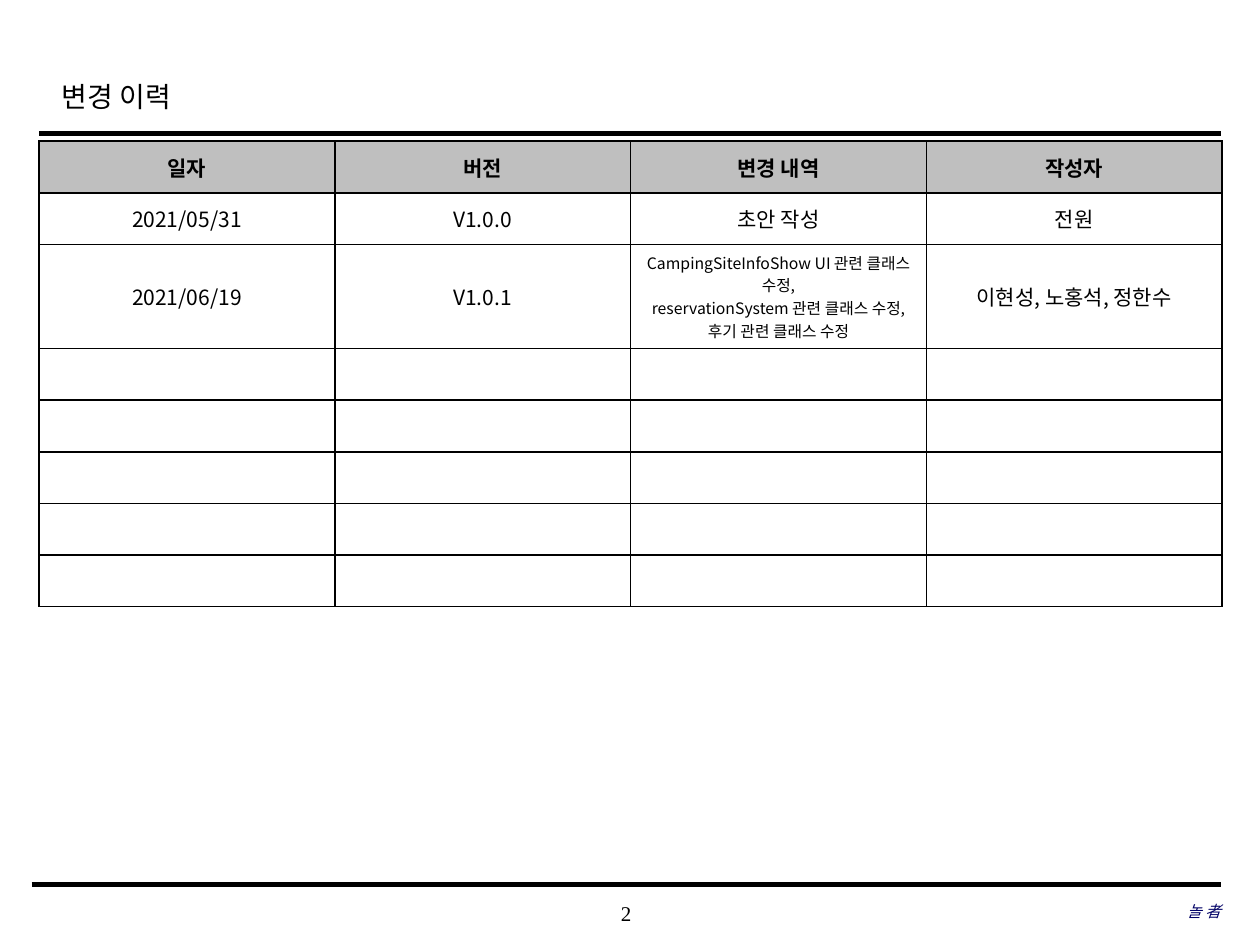
from lxml import etree
from pptx import Presentation
from pptx.dml.color import RGBColor
from pptx.enum.shapes import MSO_CONNECTOR
from pptx.enum.text import MSO_ANCHOR, PP_ALIGN
from pptx.oxml.ns import qn
from pptx.util import Inches, Pt

STRAIGHT = MSO_CONNECTOR.STRAIGHT
MIDDLE = MSO_ANCHOR.MIDDLE
LEFT, CENTER, RIGHT = PP_ALIGN.LEFT, PP_ALIGN.CENTER, PP_ALIGN.RIGHT
LATIN, KOREAN = "Times New Roman", "Noto Sans CJK KR"
BLACK, WHITE, GRAY, NAVY = "000000", "FFFFFF", "BFBFBF", "000066"

HISTORY = [
    ["일자", "버전", "변경 내역", "작성자"],
    ["2021/05/31", "V1.0.0", "초안 작성", "전원"],
    ["2021/06/19", "V1.0.1",
     "CampingSiteInfoShow UI 관련 클래스 수정,\n"
     "reservationSystem 관련 클래스 수정,\n"
     "후기 관련 클래스 수정",
     "이현성, 노홍석, 정한수"],
] + [[""] * 4 for _ in range(5)]


def color(value):
    return RGBColor.from_string(value)


def write_text(frame, text, align, font, hue=BLACK):
    """Fill the frame with one paragraph per line of text."""
    for index, line in enumerate(text.split("\n")):
        para = frame.add_paragraph() if index else frame.paragraphs[0]
        para.alignment = align
        if not line:
            # Empty cells keep the size of the text, so rows do not grow
            size = str(int(font["size"].pt * 100))
            etree.SubElement(para._p, qn("a:endParaRPr"), sz=size)
            continue
        span = para.add_run()
        span.text = line
        for name, value in font.items():
            setattr(span.font, name, value)
        span.font.color.rgb = color(hue)
        east_asian = etree.SubElement(span._r.get_or_add_rPr(), qn("a:ea"))
        east_asian.set("typeface", KOREAN)


def add_title(slide, left, top, width, height):
    title = slide.shapes.title
    title.left, title.top = Inches(left), Inches(top)
    title.width, title.height = Inches(width), Inches(height)
    frame = title.text_frame
    frame.vertical_anchor = MIDDLE
    write_text(frame, "변경 이력", LEFT, {"name": LATIN, "size": Pt(16)})
    frame.paragraphs[0].line_spacing = 1.2


def add_rule(slide, left, right, y, weight):
    rule = slide.shapes.add_connector(
        STRAIGHT, Inches(left), Inches(y), Inches(right), Inches(y))
    rule.line.color.rgb = color(BLACK)
    rule.line.width = Pt(weight)
    etree.SubElement(rule._element.spPr, qn("a:effectLst"))


def add_footer_text(slide, left, top, width, height, text, align, font, hue):
    box = slide.shapes.add_textbox(
        Inches(left), Inches(top), Inches(width), Inches(height))
    frame = box.text_frame
    layout = {"word_wrap": True, "vertical_anchor": MIDDLE, "margin_left": 0,
              "margin_right": 0, "margin_top": 0, "margin_bottom": 0}
    for name, value in layout.items():
        setattr(frame, name, value)
    write_text(frame, text, align, font, hue)


def add_borders(cell):
    properties = cell._tc.get_or_add_tcPr()
    for index, side in enumerate(("lnL", "lnR", "lnT", "lnB")):
        border = etree.Element(qn(f"a:{side}"), w=str(Pt(1)))
        fill = etree.SubElement(border, qn("a:solidFill"))
        etree.SubElement(fill, qn("a:srgbClr"), val=BLACK)
        properties.insert(index, border)


def add_history_table(slide, left, top, width, row_height):
    rows, columns = len(HISTORY), len(HISTORY[0])
    table = slide.shapes.add_table(
        rows, columns, Inches(left), Inches(top),
        Inches(width), Inches(row_height * rows)).table
    for row_index, values in enumerate(HISTORY):
        is_header = row_index == 0
        is_tall = any("\n" in value for value in values)
        table.rows[row_index].height = Inches(row_height * (2 if is_tall else 1))
        for column_index, value in enumerate(values):
            cell = table.cell(row_index, column_index)
            cell.vertical_anchor = MIDDLE
            cell.fill.solid()
            cell.fill.fore_color.rgb = color(GRAY if is_header else WHITE)
            add_borders(cell)
            size = Pt(9 if "\n" in value else 12)
            write_text(cell.text_frame, value, CENTER,
                       {"name": KOREAN, "size": size, "bold": is_header})


def main():
    deck = Presentation()
    deck.slide_width, deck.slide_height = Inches(10), Inches(7.5)
    slide = deck.slides.add_slide(deck.slide_layouts[5])

    # Heading and rules
    add_title(slide, 0.39, 0.49, 7.55, 0.5)
    add_rule(slide, 0.31, 9.69, 1.06, 2.5)
    add_rule(slide, 0.25, 9.69, 7.02, 3)

    # Change history
    add_history_table(slide, 0.31, 1.12, 9.39, 0.41)

    # Footer: page number and team name
    add_footer_text(slide, 3.93, 7.08, 2.08, 0.33, "2", CENTER,
                    {"name": LATIN, "size": Pt(12)}, BLACK)
    add_footer_text(slide, 6.63, 7.07, 3.06, 0.33, "놀 者", RIGHT,
                    {"name": LATIN, "size": Pt(9), "italic": True}, NAVY)
    deck.save("out.pptx")


if __name__ == "__main__":
    main()
